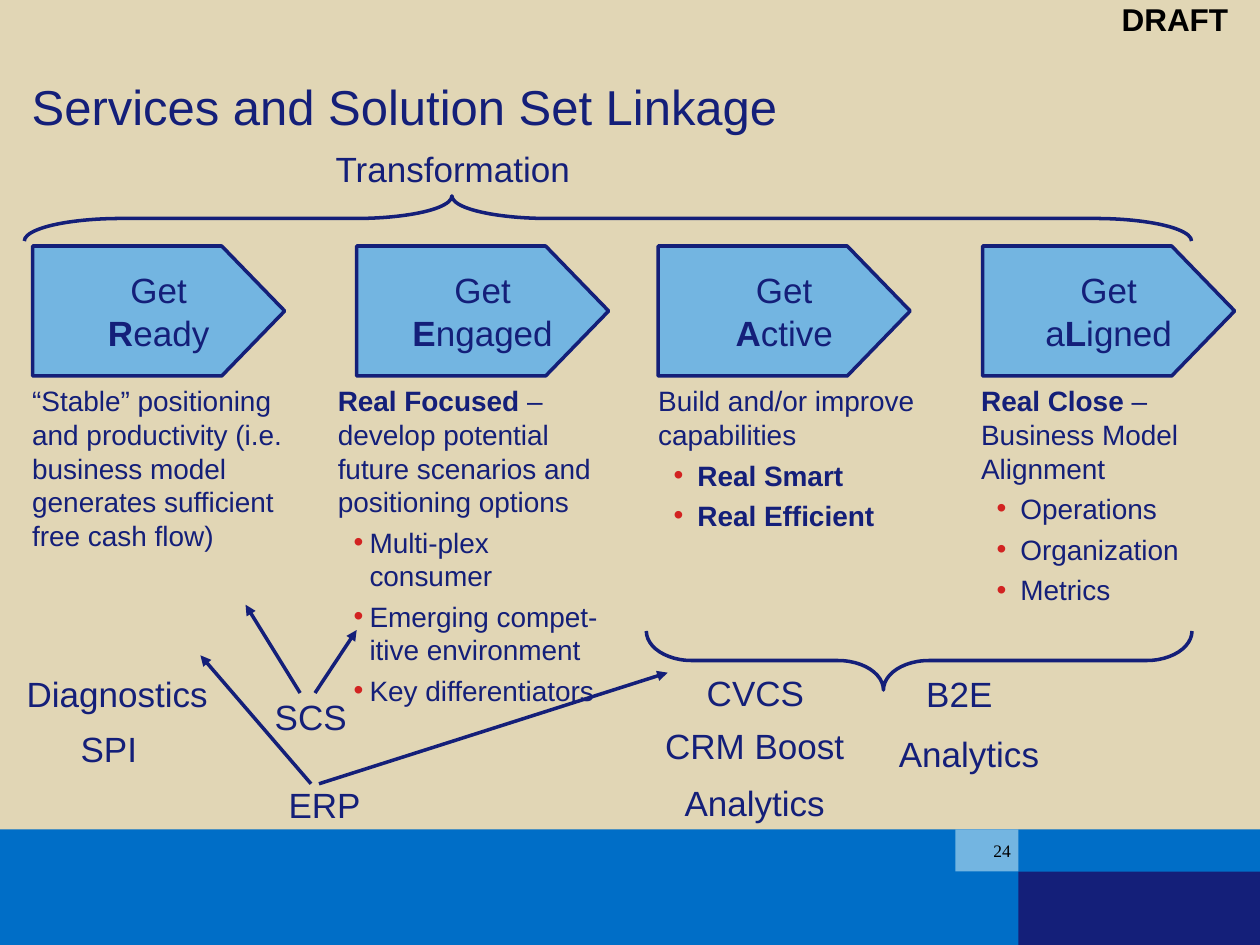
from dataclasses import dataclass

from lxml import etree
from pptx import Presentation
from pptx import util as u
from pptx.dml import color
from pptx.enum import shapes, text
from pptx.oxml import ns


@dataclass(frozen=True)
class Theme:
    sand: str = "E1D6B5"
    blue: str = "006EC7"
    navy: str = "141F79"
    sky: str = "73B5E1"
    red: str = "D22321"
    black: str = "000000"
    sans: str = "Arial"
    serif: str = "Times New Roman"
    title: int = 28
    label: int = 20
    stamp: int = 18
    body: int = 16
    number: int = 10
    line: int = 2


THEME = Theme()
SHAPE = shapes.MSO_SHAPE
ANCHOR = text.MSO_ANCHOR
CENTER = text.PP_ALIGN.CENTER


def rgb(value):
    return color.RGBColor.from_string(value)


def cm(*values):
    return [u.Cm(value) for value in values]


def add_span(para, words, size, bold=False, tint=THEME.navy, face=THEME.sans):
    span = para.add_run()
    span.text = words
    span.font.size = u.Pt(size)
    span.font.bold = bold
    span.font.name = face
    span.font.color.rgb = rgb(tint)


def set_frame(shape, inset=0.0, anchor=ANCHOR.TOP):
    frame = shape.text_frame
    frame.word_wrap = True
    frame.vertical_anchor = anchor
    frame.margin_left = frame.margin_right = u.Cm(inset)
    frame.margin_top = frame.margin_bottom = u.Cm(inset)
    return frame


def add_line_of_text(page, box, words, size, align=CENTER, anchor=ANCHOR.TOP, **style):
    frame = set_frame(page.shapes.add_textbox(*cm(*box)), anchor=anchor)
    para = frame.paragraphs[0]
    para.alignment = align
    add_span(para, words, size, **style)
    return para


def add_block(page, kind, box, fill=None, line=None):
    block = page.shapes.add_shape(kind, *cm(*box))
    block.shadow.inherit = False
    if fill:
        block.fill.solid()
        block.fill.fore_color.rgb = rgb(fill)
    else:
        block.fill.background()
    if line:
        block.line.color.rgb = rgb(line)
        block.line.width = u.Pt(THEME.line)
    else:
        block.line.fill.background()
    return block


def add_brace(page, box, turn, curve, tip):
    """Lay a left brace on its side so that it fills the box; tip is in cm."""
    left, top, width, height = box
    upright = (left + (width - height) / 2, top + (height - width) / 2, height, width)
    brace = add_block(page, SHAPE.LEFT_BRACE, upright, line=THEME.navy)
    brace.rotation = turn
    brace.adjustments[0] = curve
    brace.adjustments[1] = tip / width


def add_arrow(page, start, end):
    arrow = page.shapes.add_connector(shapes.MSO_CONNECTOR.STRAIGHT, *cm(*start, *end))
    arrow.line.color.rgb = rgb(THEME.navy)
    arrow.line.width = u.Pt(THEME.line)
    etree.SubElement(arrow.line._get_or_add_ln(), ns.qn("a:tailEnd"), type="triangle")
    etree.SubElement(arrow._element.spPr, ns.qn("a:effectLst"))


def set_bullet(para, margin, hang):
    props = para._p.get_or_add_pPr()
    props.set("marL", str(u.Cm(margin)))
    props.set("indent", str(-u.Cm(hang)))
    tint = etree.SubElement(props, ns.qn("a:buClr"))
    etree.SubElement(tint, ns.qn("a:srgbClr"), val=THEME.red)
    etree.SubElement(props, ns.qn("a:buFont"), typeface=THEME.sans)
    etree.SubElement(props, ns.qn("a:buChar"), char="•")


def draw_footer(page, box):
    left, top, width, height = box
    band, tab = 0.85, 1.27
    split = left + 20.53
    add_block(page, SHAPE.RECTANGLE, box, THEME.blue)
    add_block(page, SHAPE.RECTANGLE,
              (split, top + band, left + width - split, height - band), THEME.navy)
    tab_box = (split - tab, top, tab, band)
    add_block(page, SHAPE.RECTANGLE, tab_box, THEME.sky)
    number = add_line_of_text(page, tab_box, "24", THEME.number, anchor=ANCHOR.MIDDLE,
                              tint=THEME.black, face=THEME.serif)
    number._p.get_or_add_pPr().set("marL", str(u.Cm(0.61)))


def draw_header(page, box):
    left, top, width, height = box
    add_line_of_text(page, (left + 21.97, top, 3.43, 0.76), "DRAFT", THEME.stamp,
                     bold=True, tint=THEME.black)
    title = add_line_of_text(page, (left + 0.64, top + 0.57, width - 1.28, 2.18),
                             "Services and Solution Set Linkage", THEME.title,
                             align=text.PP_ALIGN.LEFT, anchor=ANCHOR.BOTTOM)
    title.line_spacing = 0.9
    add_line_of_text(page, (left + 6.02, top + 2.97, 6.22, 0.84),
                     "Transformation", THEME.label)
    add_brace(page, (left + 0.49, top + 3.95, 23.53, height - 3.96), 90, 2.14, 14.91)


def draw_stage(page, box, name, shift, width, lead, bullets, bold, margin, hang):
    left, top, _, height = box
    # Pentagon; the left inset centres its text on the whole outline
    point = 1.27
    pentagon = add_block(page, SHAPE.PENTAGON, box, THEME.sky, THEME.navy)
    pentagon.adjustments[0] = point / height
    frame = set_frame(pentagon, anchor=ANCHOR.MIDDLE)
    frame.margin_left = u.Cm(point / 2)
    for i, spans in enumerate(([("Get", False)], name)):
        para = frame.add_paragraph() if i else frame.paragraphs[0]
        para.alignment = CENTER
        for words, strong in spans:
            add_span(para, words, THEME.label, strong)

    # Description below
    column = (left - shift, top + 2.53, width, 8.18)
    frame = set_frame(page.shapes.add_textbox(*cm(*column)), inset=0.25)
    for words, strong in lead:
        add_span(frame.paragraphs[0], words, THEME.body, strong)
    for words in bullets:
        para = frame.add_paragraph()
        para.space_before = u.Pt(4)
        set_bullet(para, margin, hang)
        add_span(para, words, THEME.body, bold)


def draw_solutions(page, box):
    left, top = box[:2]
    labels = [
        ("Diagnostics", 0.36, 1.56, 4.01), ("SPI", 0.86, 2.66, 2.67),
        ("SCS", 4.93, 2.02, 2.67), ("ERP", 5.21, 3.8, 2.67),
        ("CVCS", 13.82, 1.54, 2.82), ("CRM Boost", 12.98, 2.61, 4.47),
        ("Analytics", 12.98, 3.75, 4.47), ("B2E", 17.93, 1.56, 2.82),
        ("Analytics", 17.3, 2.76, 4.47),
    ]
    for words, x, y, width in labels:
        add_line_of_text(page, (left + x, top + y, width, 0.84), words, THEME.label)
    add_brace(page, (left + 13.03, top + 0.72, 11, 1.19), 270, 0.77, 4.78)
    arrows = [
        (6.27, 3.8, 4.04, 1.21), (6.43, 3.8, 13.46, 1.56),  # from ERP
        (6.05, 1.97, 4.95, 0.19), (6.35, 1.97, 7.19, 0.7),  # from SCS
    ]
    for x1, y1, x2, y2 in arrows:
        add_arrow(page, (left + x1, top + y1), (left + x2, top + y2))


# Left edge, name, column shift and width, lead, bullets, bold bullets, margin, hang
STAGES = [
    (0.66, [("R", True), ("eady", False)], 0.26, 5.66,
     [("“Stable” positioning and productivity (i.e. business model generates "
       "sufficient free cash flow)", False)], [], False, 0, 0),
    (7.19, [("E", True), ("ngaged", False)], 0.63, 5.99,
     [("Real Focused", True),
      (" – develop potential future scenarios and positioning options", False)],
     ["Multi-plex consumer", "Emerging compet-itive environment",
      "Key differentiators"], False, 0.64, 0.32),
    (13.27, [("A", True), ("ctive", False)], 0.25, 5.75,
     [("Build and/or improve capabilities", False)],
     ["Real Smart", "Real Efficient"], True, 0.79, 0.48),
    (19.81, [("a", False), ("L", True), ("igned", False)], 0.28, 5.66,
     [("Real Close", True), (" – Business Model Alignment", False)],
     ["Operations", "Organization", "Metrics"], False, 0.79, 0.48),
]


def main():
    deck = Presentation()
    deck.slide_width, deck.slide_height = cm(25.4, 19.05)
    page = deck.slides.add_slide(deck.slide_layouts[6])
    page.background.fill.solid()
    page.background.fill.fore_color.rgb = rgb(THEME.sand)

    draw_footer(page, (0, 16.72, 25.4, 2.33))
    draw_header(page, (0, 0, 25.4, 4.87))
    draw_solutions(page, (0, 12, 25.4, 4.7))
    for left, *content in STAGES:
        draw_stage(page, (left, 4.96, 5.08, 2.62), *content)
    deck.save("out.pptx")


if __name__ == "__main__":
    main()
